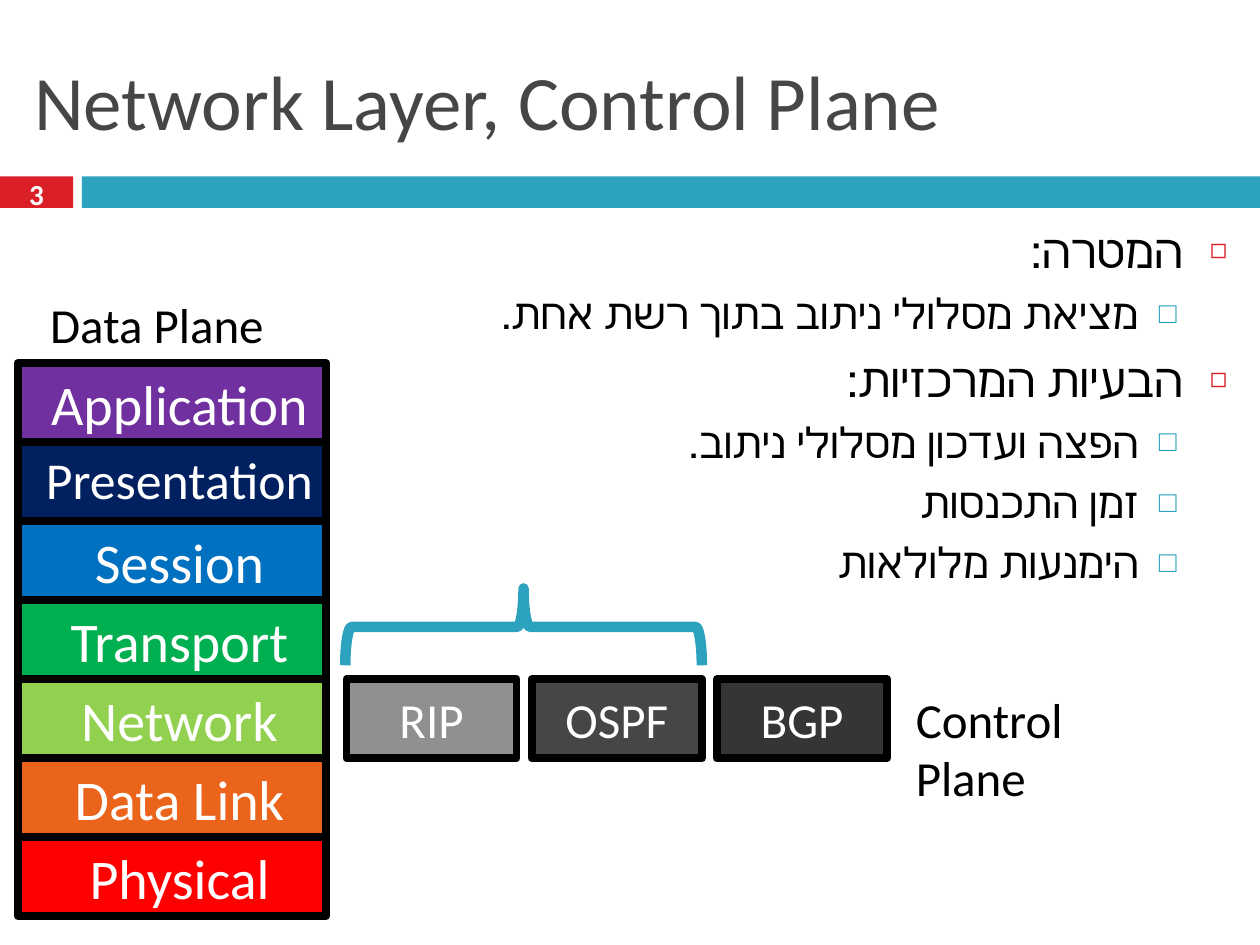
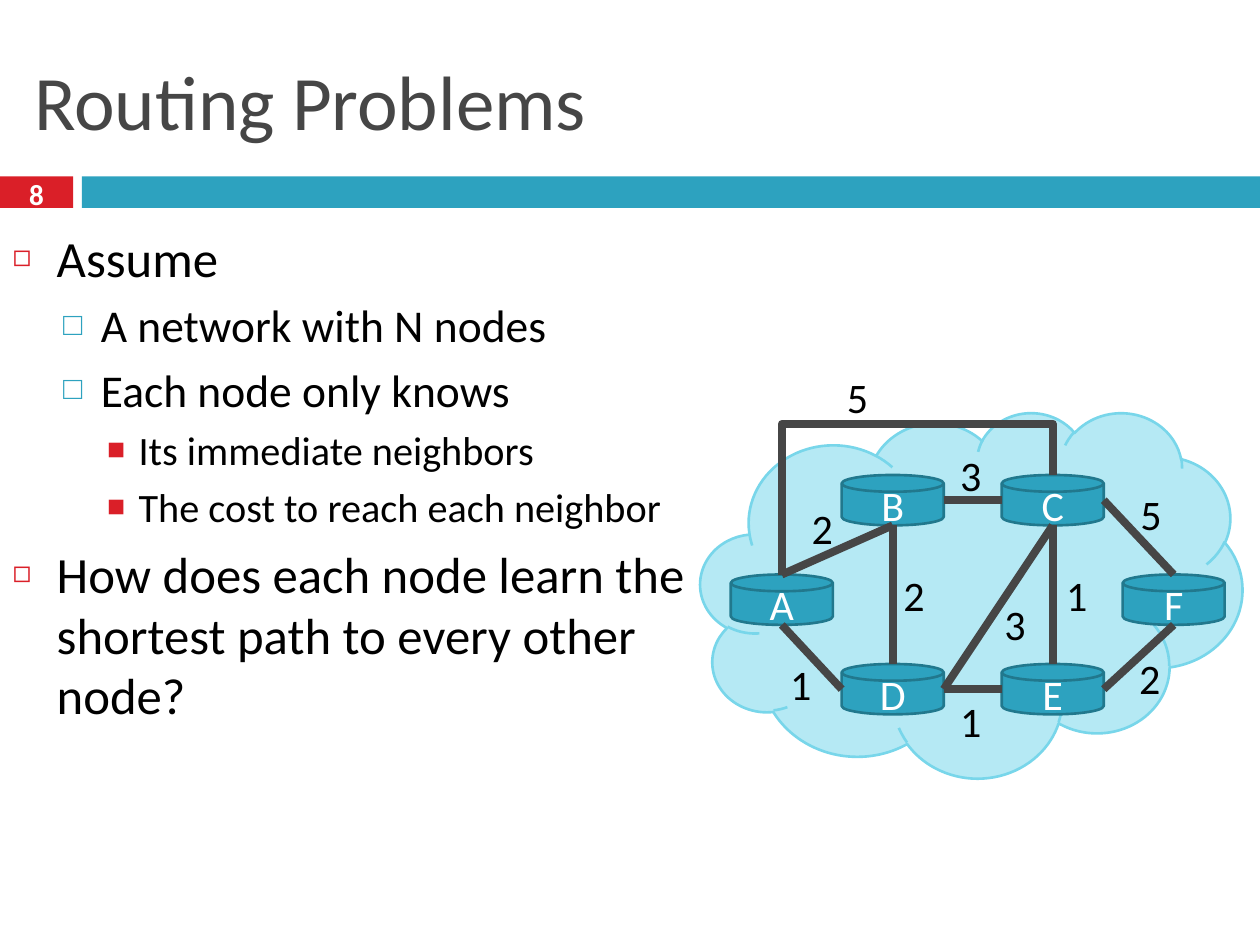
"""Build two slides on the network layer: its control plane and routing problems."""
from dataclasses import dataclass

from lxml import etree
from pptx import Presentation
from pptx.dml.color import RGBColor
from pptx.enum.shapes import MSO_CONNECTOR, MSO_SHAPE
from pptx.enum.text import MSO_ANCHOR, MSO_AUTO_SIZE, PP_ALIGN
from pptx.oxml.ns import qn
from pptx.util import Inches, Pt

RECTANGLE, BRACE = MSO_SHAPE.RECTANGLE, MSO_SHAPE.LEFT_BRACE
CLOUD, DISK = MSO_SHAPE.CLOUD, MSO_SHAPE.FLOWCHART_MAGNETIC_DISK
STRAIGHT, ELBOW = MSO_CONNECTOR.STRAIGHT, MSO_CONNECTOR.ELBOW
LEFT, CENTER, RIGHT = PP_ALIGN.LEFT, PP_ALIGN.CENTER, PP_ALIGN.RIGHT
TOP, MIDDLE = MSO_ANCHOR.TOP, MSO_ANCHOR.MIDDLE


@dataclass(frozen=True)
class Theme:
    font: str = "Calibri"
    teal: str = "2DA2BF"
    dark_teal: str = "21788D"
    red: str = "DA1F28"
    gray: str = "464646"
    black: str = "000000"
    white: str = "FFFFFF"
    cloud_fill: str = "B5E9F4"
    cloud_line: str = "78D6EA"
    title_size: float = 44
    number_size: float = 16.6
    layer_size: float = 32
    label_size: float = 28
    node_size: float = 24
    heavy: float = 4.5
    thin: float = 1.5


THEME = Theme()
BULLETS = [
    {"char": "◻", "color": THEME.red, "percent": 60, "margin": 0.35, "hang": 0.35, "before": 7},
    {"char": "□", "color": THEME.teal, "percent": 70, "margin": 0.7, "hang": 0.3, "before": 5.5},
    {"char": "■", "color": THEME.red, "percent": 75, "margin": 1, "hang": 0.25, "before": 5},
]


def write(frame, text, size, color=THEME.black, bold=False, align=LEFT, anchor=TOP, new=False):
    """Put one formatted paragraph into a text frame and return it."""
    frame.word_wrap = True
    frame.auto_size = MSO_AUTO_SIZE.NONE
    frame.vertical_anchor = anchor
    para = frame.add_paragraph() if new else frame.paragraphs[0]
    para.alignment = align
    span = para.add_run()
    span.text = text
    span.font.name = THEME.font
    span.font.size = Pt(size)
    span.font.bold = bold
    span.font.color.rgb = RGBColor.from_string(color)
    return para


def draw(page, kind, bounds, fill=None, line=None, width=THEME.heavy):
    """Add a flat preset shape with the given fill and outline."""
    box = page.shapes.add_shape(kind, *map(Inches, bounds))
    box.shadow.inherit = False
    if fill:
        box.fill.solid()
        box.fill.fore_color.rgb = RGBColor.from_string(fill)
    else:
        box.fill.background()
    if line:
        box.line.color.rgb = RGBColor.from_string(line)
        box.line.width = Pt(width)
    else:
        box.line.fill.background()
    return box


deck = Presentation()
deck.slide_width, deck.slide_height = Inches(10), Inches(7.5)

outlines = [
    {"number": "3", "title": "Network Layer, Control Plane", "rtl": True,
     "bounds": (2.89, 1.71, 6.95, 2.96), "sizes": (26.8, 24.1),
     "items": [
         (0, "המטרה:"),
         (1, "מציאת מסלולי ניתוב בתוך רשת אחת."),
         (0, "הבעיות המרכזיות:"),
         (1, "הפצה ועדכון מסלולי ניתוב."),
         (1, "זמן התכנסות"),
         (1, "הימנעות מלולאות"),
     ]},
    {"number": "8", "title": "Routing Problems", "rtl": False,
     "bounds": (0, 1.75, 5.8, 5.58), "sizes": (29, 26, 23),
     "items": [
         (0, "Assume"),
         (1, "A network with N nodes"),
         (1, "Each node only knows"),
         (2, "Its immediate neighbors"),
         (2, "The cost to reach each neighbor"),
         (0, "How does each node learn the shortest path to every other node?"),
     ]},
]

pages = []
for outline in outlines:
    page = deck.slides.add_slide(deck.slide_layouts[1])
    pages.append(page)
    draw(page, RECTANGLE, (0, 1.4, 0.58, 0.25), THEME.red)
    draw(page, RECTANGLE, (0.65, 1.4, 9.35, 0.25), THEME.teal)

    title, body = page.shapes.title, page.placeholders[1]
    for holder, bounds in ((title, (0.17, 0.25, 9.67, 1.08)), (body, outline["bounds"])):
        holder.left, holder.top, holder.width, holder.height = map(Inches, bounds)
    write(title.text_frame, outline["title"], THEME.title_size, THEME.gray, anchor=MIDDLE)

    number = page.shapes.add_textbox(*map(Inches, (0, 1.37, 0.58, 0.33)))
    write(number.text_frame, outline["number"], THEME.number_size, THEME.white,
          bold=True, align=CENTER, anchor=MIDDLE)

    for index, (level, text) in enumerate(outline["items"]):
        para = write(body.text_frame, text, outline["sizes"][level],
                     align=RIGHT if outline["rtl"] else LEFT, new=index > 0)
        bullet = BULLETS[level]
        para.level = level
        para.space_before = Pt(bullet["before"])
        props = para._p.get_or_add_pPr()
        props.set("marL", str(Inches(bullet["margin"])))
        props.set("indent", str(-Inches(bullet["hang"])))
        props.set("rtl", str(int(outline["rtl"])))
        tint = etree.SubElement(props, qn("a:buClr"))
        etree.SubElement(tint, qn("a:srgbClr"), val=bullet["color"])
        etree.SubElement(props, qn("a:buSzPct"), val=str(bullet["percent"] * 1000))
        etree.SubElement(props, qn("a:buChar"), char=bullet["char"])

planes, routing = pages

layers = [
    ("Application", "7030A0"), ("Presentation", "002060"), ("Session", "0070C0"),
    ("Transport", "00B050"), ("Network", "92D050"), ("Data Link", "EB641B"),
    ("Physical", "FF0000"),
]
layer_pitch = 4.39 / len(layers)
for index, (name, color) in enumerate(layers):
    layer = draw(planes, RECTANGLE, (0.14, 2.88 + index * layer_pitch, 2.45, layer_pitch),
                 color, THEME.black)
    size = 29.6 if name == "Presentation" else THEME.layer_size
    para = write(layer.text_frame, name, size, THEME.white, align=CENTER)
    para._p.get_or_add_pPr().set("marL", str(Inches(0.12)))

brace = draw(planes, BRACE, (3.85, 3.56, 0.61, 2.83), line=THEME.teal, width=6)
brace.rotation = 90

for index, (name, color) in enumerate((("RIP", "909090"), ("OSPF", THEME.gray), ("BGP", "353535"))):
    protocol = draw(planes, RECTANGLE, (2.75 + index * 1.47, 5.39, 1.35, 0.63), color, THEME.black)
    write(protocol.text_frame, name, THEME.label_size, THEME.white, align=CENTER, anchor=MIDDLE)

for name, bounds, inset in (("Control Plane", (7.17, 5.42, 2.3, 0.57), 0.3),
                            ("Data Plane", (0.3, 2.29, 2.15, 0.57), 0.1)):
    label = planes.shapes.add_textbox(*map(Inches, bounds))
    label.text_frame.margin_right = Inches(inset)
    write(label.text_frame, name, THEME.label_size)

draw(routing, CLOUD, (5.56, 3.27, 4.3, 2.9), THEME.cloud_fill, THEME.cloud_line, THEME.thin)

node_width, node_height = 0.81, 0.4
node_spots = {"A": (5.8, 4.56), "B": (6.68, 3.77), "C": (7.95, 3.77),
              "D": (6.68, 5.27), "E": (7.95, 5.27), "F": (8.91, 4.56)}
nodes = {}
for name, spot in node_spots.items():
    nodes[name] = draw(routing, DISK, (*spot, node_width, node_height),
                       THEME.teal, THEME.dark_teal, THEME.thin)
    write(nodes[name].text_frame, name, THEME.node_size, THEME.white, align=CENTER, anchor=MIDDLE)

sides = {"top": (1, 0.5, 0), "left": (2, 0, 0.5), "bottom": (3, 0.5, 1), "right": (4, 1, 0.5)}
links = [
    ("F", "bottom", "E", "right", "2", (8.93, 5.13)),
    ("C", "right", "F", "top", "5", (8.94, 3.83)),
    ("B", "right", "C", "left", "3", (7.51, 3.52)),
    ("E", "left", "D", "right", "1", (7.51, 5.47)),
    ("A", "bottom", "D", "left", "1", (6.16, 5.18)),
    ("A", "top", "B", "bottom", "2", (6.33, 3.94)),
    ("D", "top", "B", "bottom", "2", (7.06, 4.47)),
    ("C", "bottom", "D", "right", "3", (7.86, 4.7)),
    ("C", "bottom", "E", "top", "1", (8.35, 4.47)),
    ("A", "top", "C", "top", "5", (6.61, 2.9)),
]
for start, start_side, end, end_side, cost, cost_spot in links:
    ends = []
    for name, side in ((start, start_side), (end, end_side)):
        site, across, down = sides[side]
        ends.append((node_spots[name][0] + across * node_width,
                     node_spots[name][1] + down * node_height))
    (x1, y1), (x2, y2) = ends
    over_the_top = start_side == end_side == "top"
    if over_the_top:
        middle_x, middle_y = (x1 + x2) / 2, (y1 + y2) / 2
        half_rise, half_span = (y1 - y2) / 2, (x2 - x1) / 2
        x1, y1 = middle_x + half_rise, middle_y + half_span
        x2, y2 = middle_x - half_rise, middle_y - half_span
    link = routing.shapes.add_connector(ELBOW if over_the_top else STRAIGHT,
                                        *map(Inches, (x1, y1, x2, y2)))
    link.line.color.rgb = RGBColor.from_string(THEME.gray)
    link.line.width = Pt(THEME.heavy)
    shape_props = link._element.spPr
    etree.SubElement(shape_props, qn("a:effectLst"))
    if over_the_top:
        shape_props.find(qn("a:xfrm")).set("rot", str(90 * 60000))
        adjusts = shape_props.find(qn("a:prstGeom")).find(qn("a:avLst"))
        etree.SubElement(adjusts, qn("a:gd"), name="adj1", fmla="val 151500")
    joints = link._element.find(".//" + qn("p:cNvCxnSpPr"))
    for tag, name, side in (("a:stCxn", start, start_side), ("a:endCxn", end, end_side)):
        etree.SubElement(joints, qn(tag), id=str(nodes[name].shape_id), idx=str(sides[side][0]))
    label = routing.shapes.add_textbox(*map(Inches, (*cost_spot, 0.39, 0.5)))
    write(label.text_frame, cost, THEME.node_size, align=CENTER)

deck.save("out.pptx")
